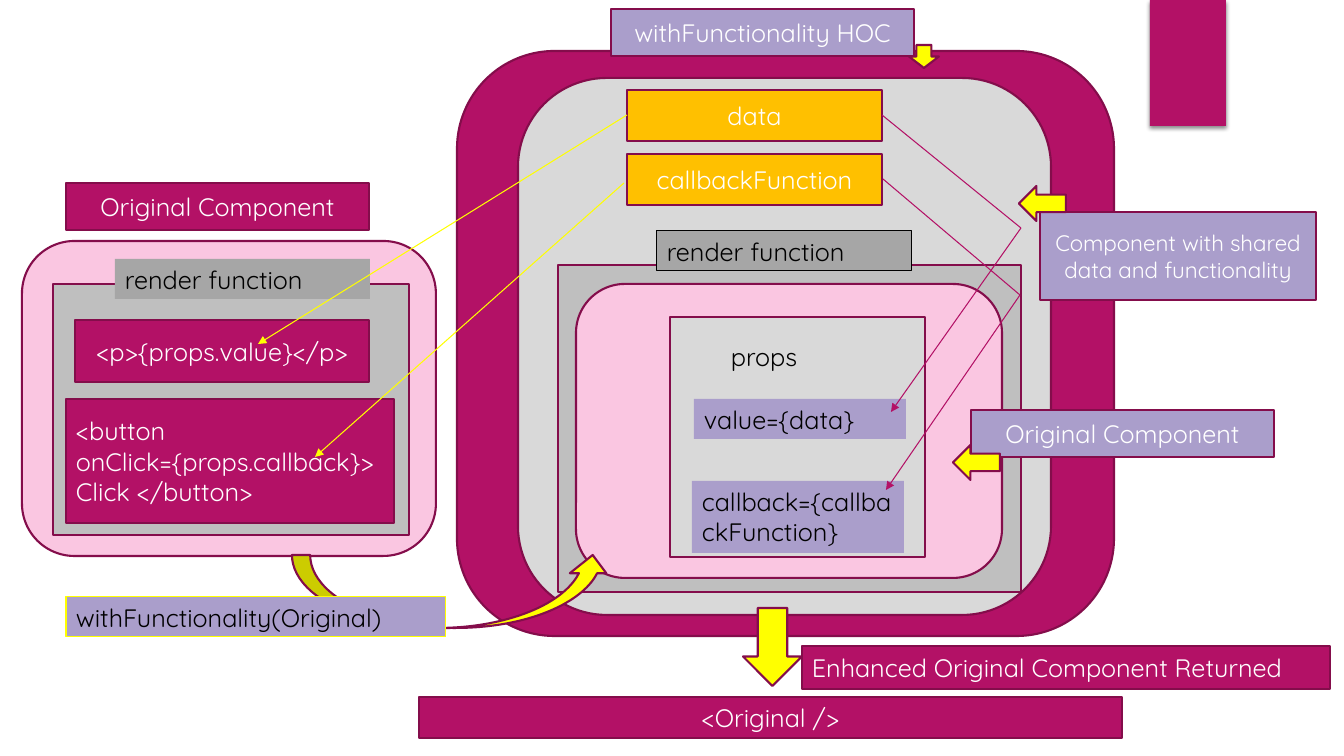
from lxml.etree import SubElement
from pptx import Presentation
from pptx.dml.color import RGBColor
from pptx.enum.shapes import MSO_CONNECTOR as Link, MSO_SHAPE as Preset
from pptx.enum.text import MSO_ANCHOR as Anchor, MSO_AUTO_SIZE as Fit, PP_ALIGN as Align
from pptx.oxml.ns import qn
from pptx.util import Pt

SCALE = 914400 / 100.8
MAGENTA, WINE, PINK, LILAC = "B31166", "840D4B", "FAC6E1", "AA9ECB"
YELLOW, AMBER, WHITE, BLACK = "FFFF00", "FFC000", "FFFFFF", "000000"
PALE, SILVER, GRAY = "D9D9D9", "BFBFBF", "A6A6A6"


def px(length):
    return round(length * SCALE)


def color(value):
    return RGBColor.from_string(value)


def inside(box, left, top, width, height):
    return box[0] + left, box[1] + top, width, height


def add_panel(page, box, fill, line=WINE, weight=1.5, kind=Preset.RECTANGLE):
    panel = page.shapes.add_shape(kind, *map(px, box))
    panel.shadow.inherit = False
    panel.fill.solid()
    panel.fill.fore_color.rgb = color(fill)
    if line:
        panel.line.color.rgb = color(line)
        panel.line.width = Pt(weight)
    else:
        panel.line.fill.background()
    return panel


def write(panel, text, ink, size, align, frame_format):
    frame = panel.text_frame
    for name, value in {"word_wrap": True, **frame_format}.items():
        setattr(frame, name, value)
    para = frame.paragraphs[0]
    para.alignment = align
    span = para.add_run()
    span.text = text
    for name, value in {"name": "Quicksand", "size": Pt(size)}.items():
        setattr(span.font, name, value)
    span.font.color.rgb = color(ink)


def add_block(page, box, text, fill=MAGENTA, size=18, align=Align.CENTER):
    write(add_panel(page, box, fill), text, WHITE, size, align,
          {"vertical_anchor": Anchor.MIDDLE})


def add_note(page, box, text, fill=LILAC, line=None):
    write(add_panel(page, box, fill, line, 0.75), text, BLACK, 18, Align.LEFT,
          {"vertical_anchor": Anchor.TOP, "auto_size": Fit.SHAPE_TO_FIT_TEXT})


def add_link(page, start, end, stroke, arrow=True):
    link = page.shapes.add_connector(Link.STRAIGHT, *map(px, start + end))
    link.line.color.rgb = color(stroke)
    link.line.width = Pt(0.75)
    if arrow:
        SubElement(link.line._get_or_add_ln(), qn("a:tailEnd"), type="triangle")
    SubElement(link._element.spPr, qn("a:effectLst"))


def draw_corner_tab(page, box):
    tab = add_panel(page, box, MAGENTA, None)
    effects = tab._element.spPr.find(qn("a:effectLst"))
    shadow = SubElement(effects, qn("a:outerShdw"), blurRad=str(Pt(3)), dist=str(Pt(2)),
                        dir="5400000", algn="ctr", rotWithShape="0")
    tint = SubElement(shadow, qn("a:srgbClr"), val=BLACK)
    SubElement(tint, qn("a:alpha"), val="45000")


def draw_hoc(page, box):
    rounded = Preset.ROUNDED_RECTANGLE
    # Nested layers, from outer to inner
    add_panel(page, box, MAGENTA, kind=rounded)
    add_panel(page, inside(box, 61, 27, 533, 537), PALE, kind=rounded)
    for top, text in ((39, "data"), (103, "callbackFunction")):
        add_block(page, inside(box, 170, top, 255, 51), text, AMBER)
    add_panel(page, inside(box, 101, 214, 463, 327), SILVER)
    add_panel(page, inside(box, 119, 233, 426, 294), PINK, kind=rounded)
    add_panel(page, inside(box, 213, 266, 255, 240), PALE)

    # Props of the wrapped component
    add_note(page, inside(box, 235, 430, 212, 72), "callback={callbackFunction}")
    add_note(page, inside(box, 264, 285, 140, 40), "props", PALE)
    add_note(page, inside(box, 237, 348, 212, 40), "value={data}")

    # Bent links from the shared parts to the props
    left, top = box[:2]
    for start, bend, end in (((425, 64), (564, 177), (434, 361)),
                             ((426, 128), (563, 244), (429, 439))):
        start, bend, end = [(left + x, top + y) for x, y in (start, bend, end)]
        add_link(page, start, bend, MAGENTA, arrow=False)
        add_link(page, bend, end, MAGENTA)
    add_note(page, inside(box, 200, 180, 255, 40), "render function", GRAY, BLACK)


def draw_component(page, box):
    add_panel(page, box, PINK, kind=Preset.ROUNDED_RECTANGLE)
    add_panel(page, inside(box, 31, 43, 356, 251), SILVER)
    add_note(page, inside(box, 93, 18, 255, 40), "render function", GRAY)
    add_block(page, inside(box, 53, 79, 294, 62), "<p>{props.value}</p>")
    add_block(page, inside(box, 44, 158, 328, 124),
              "<button onClick={props.callback}> Click </button>", align=Align.LEFT)


def draw_wrapping(page, box):
    # Links from the shared parts into the component, then the wrapping call
    add_link(page, (627, 115), (258, 344), YELLOW)
    add_link(page, (624, 183), (315, 457), YELLOW)
    add_panel(page, inside(box, 226, 0, 319, 73), YELLOW, kind=Preset.CURVED_UP_ARROW)
    add_note(page, inside(box, 0, 42, 380, 40), "withFunctionality(Original)", line=YELLOW)


def draw_labels(page, box):
    for left, top, text, fill in ((66, 183, "Original Component", MAGENTA),
                                  (611, 9, "withFunctionality HOC", LILAC),
                                  (971, 410, "Original Component", LILAC)):
        add_block(page, inside(box, left, top, 303, 47), text, fill)
    add_block(page, inside(box, 1040, 212, 276, 88),
              "Component with shared data and functionality", LILAC, 16)
    add_panel(page, inside(box, 909, 45, 30, 23), YELLOW, kind=Preset.DOWN_ARROW)
    for left, top in ((1019, 186), (953, 445)):
        add_panel(page, inside(box, left, top, 47, 35), YELLOW, kind=Preset.LEFT_ARROW)


def draw_result(page, box):
    add_block(page, inside(box, 0, 89, 703, 41), "<Original />")
    add_panel(page, inside(box, 324, 0, 59, 78), YELLOW, kind=Preset.DOWN_ARROW)
    add_block(page, inside(box, 383, 38, 528, 43),
              "Enhanced Original Component Returned", align=Align.LEFT)


deck = Presentation()
deck.slide_width, deck.slide_height = px(1344), px(756)
page = deck.slides.add_slide(deck.slide_layouts[6])
draw_corner_tab(page, (1150, 0, 76, 126))
draw_hoc(page, (457, 51, 657, 585))
draw_component(page, (22, 241, 414, 315))
draw_wrapping(page, (66, 555, 545, 82))
draw_labels(page, (0, 0, 1344, 756))
draw_result(page, (419, 608, 911, 130))
deck.save("out.pptx")
